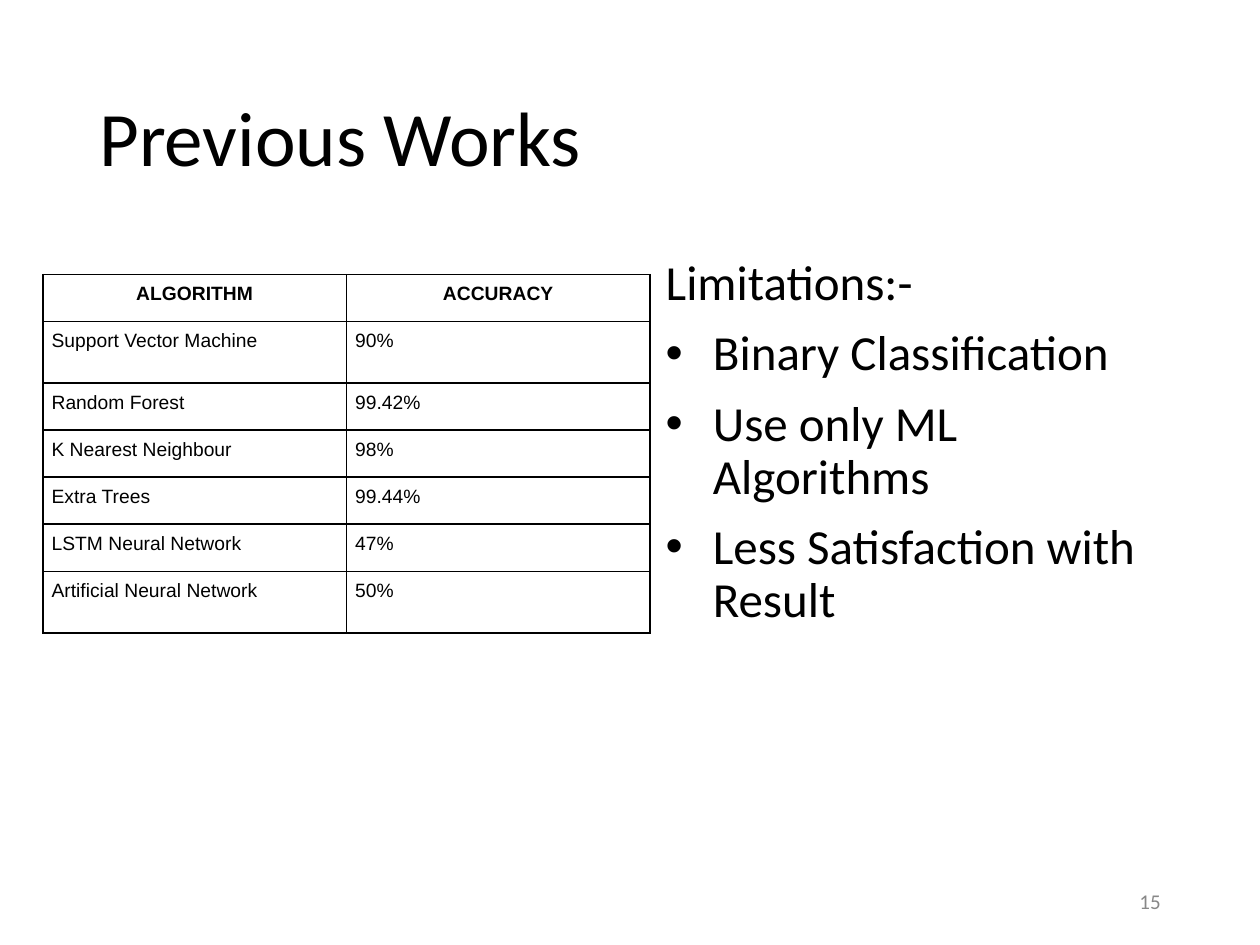
from lxml.etree import SubElement
from pptx import Presentation
from pptx.dml.color import RGBColor
from pptx.enum.text import MSO_ANCHOR, PP_ALIGN
from pptx.oxml.ns import qn
from pptx.util import Pt

TITLE = "Previous Works"
PAGE_NUMBER = "15"
RESULTS = [
    ("ALGORITHM", "ACCURACY"),
    ("Support Vector Machine", "90%"),
    ("Random Forest", "99.42%"),
    ("K Nearest Neighbour", "98%"),
    ("Extra Trees", "99.44%"),
    ("LSTM Neural Network", "47%"),
    ("Artificial Neural Network", "50%"),
]
LIMITATIONS_HEADING = "Limitations:-"
LIMITATIONS = [
    "Binary Classification",
    "Use only ML Algorithms",
    "Less Satisfaction with Result",
]
BLACK = "000000"
GREY = "888888"
COLUMN_WIDTH = 173.5
ROW_HEIGHT = 26.9
TALL_ROW_HEIGHT = 35.2
TALL_ROWS = {1, 6}
CELL_MARGIN = 5


def color(value):
    return RGBColor.from_string(value)


def add_run(paragraph, text, size, font="Calibri", fill=BLACK, bold=False):
    run = paragraph.add_run()
    run.text = text
    run.font.name = font
    run.font.size = Pt(size)
    run.font.bold = bold
    run.font.color.rgb = color(fill)


def add_text_frame(slide, left, top, width, height, anchor=MSO_ANCHOR.MIDDLE):
    box = slide.shapes.add_textbox(Pt(left), Pt(top), Pt(width), Pt(height))
    frame = box.text_frame
    frame.word_wrap = True
    frame.vertical_anchor = anchor
    return frame


def set_indent(paragraph, margin, hanging=0, bullet=None):
    properties = paragraph._p.get_or_add_pPr()
    properties.set("marL", str(Pt(margin)))
    properties.set("indent", str(-Pt(hanging)))
    if bullet:
        bullet_color = SubElement(properties, qn("a:buClr"))
        SubElement(bullet_color, qn("a:srgbClr"), val=BLACK)
        SubElement(properties, qn("a:buFont"), typeface="Arial")
        SubElement(properties, qn("a:buChar"), char=bullet)


def add_limitations(slide):
    frame = add_text_frame(slide, 364.3, 144, 306, 342.7, MSO_ANCHOR.TOP)
    for index, text in enumerate([LIMITATIONS_HEADING] + LIMITATIONS):
        paragraph = frame.add_paragraph() if index else frame.paragraphs[0]
        paragraph.line_spacing = 0.9
        paragraph.space_before = Pt(10)
        if index:
            set_indent(paragraph, 36, 27, "•")
        else:
            set_indent(paragraph, 9)
        add_run(paragraph, text, 28)


def set_borders(cell):
    properties = cell._tc.get_or_add_tcPr()
    for position, side in enumerate(("lnL", "lnR", "lnT", "lnB")):
        line = properties.makeelement(qn(f"a:{side}"), {"w": str(Pt(1))})
        fill = SubElement(line, qn("a:solidFill"))
        SubElement(fill, qn("a:srgbClr"), val=BLACK)
        properties.insert(position, line)


def add_results(slide):
    heights = [TALL_ROW_HEIGHT if row in TALL_ROWS else ROW_HEIGHT
               for row in range(len(RESULTS))]
    columns = len(RESULTS[0])
    table = slide.shapes.add_table(
        len(RESULTS), columns, Pt(24.5), Pt(156.9),
        Pt(columns * COLUMN_WIDTH), Pt(sum(heights))).table
    table.horz_banding = False
    table.first_row = False
    for column in table.columns:
        column.width = Pt(COLUMN_WIDTH)
    for row_index, texts in enumerate(RESULTS):
        table.rows[row_index].height = Pt(heights[row_index])
        is_header = row_index == 0
        for column_index, text in enumerate(texts):
            cell = table.cell(row_index, column_index)
            cell.margin_left = cell.margin_right = Pt(CELL_MARGIN)
            cell.margin_top = cell.margin_bottom = Pt(CELL_MARGIN)
            cell.fill.background()
            set_borders(cell)
            paragraph = cell.text_frame.paragraphs[0]
            paragraph.alignment = PP_ALIGN.CENTER if is_header else PP_ALIGN.LEFT
            add_run(paragraph, text, 11, "Arial", bold=is_header)


def main():
    presentation = Presentation()
    presentation.slide_width = Pt(720)
    presentation.slide_height = Pt(540)
    slide = presentation.slides.add_slide(presentation.slide_layouts[6])

    title = add_text_frame(slide, 49.7, 28.8, 620.6, 104.4).paragraphs[0]
    title.line_spacing = 0.9
    add_run(title, TITLE, 44)

    add_limitations(slide)

    page_number = add_text_frame(slide, 508.3, 500.4, 162, 28.8).paragraphs[0]
    page_number.alignment = PP_ALIGN.RIGHT
    add_run(page_number, PAGE_NUMBER, 12, fill=GREY)

    add_results(slide)
    presentation.save("out.pptx")


if __name__ == "__main__":
    main()
